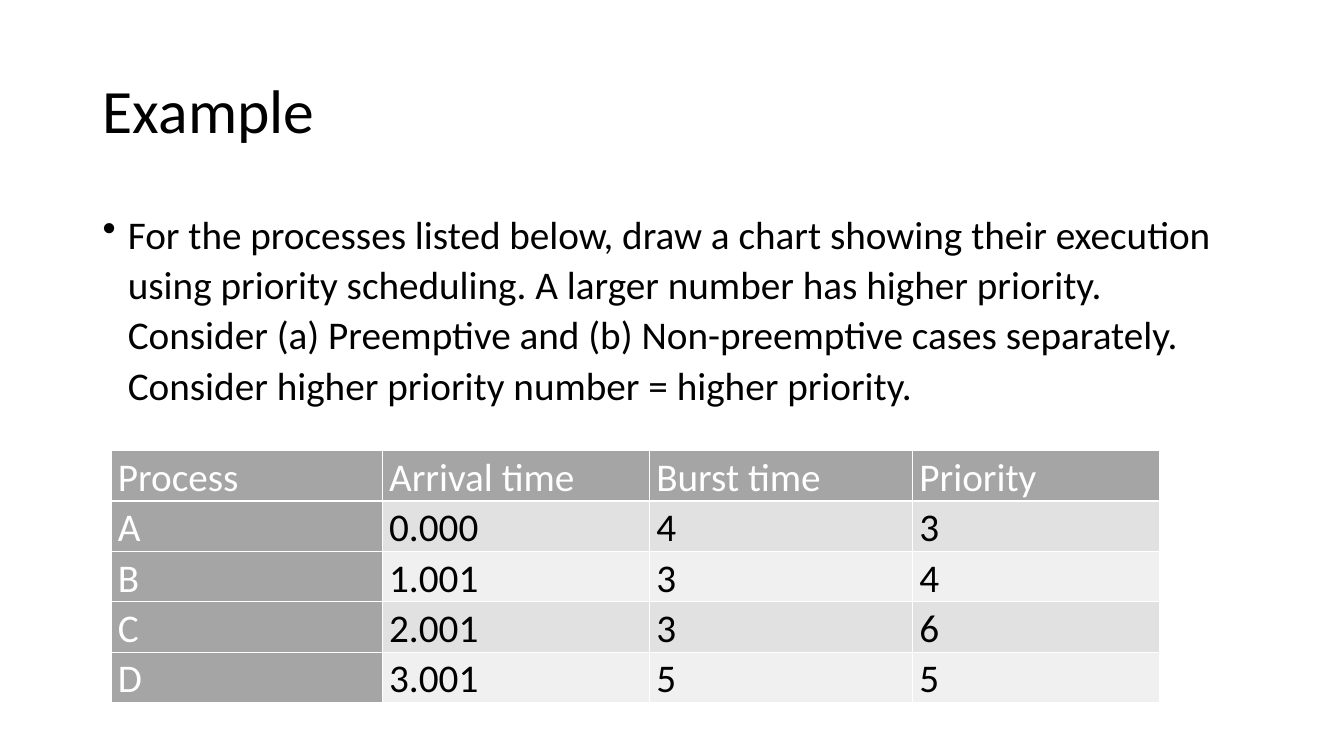
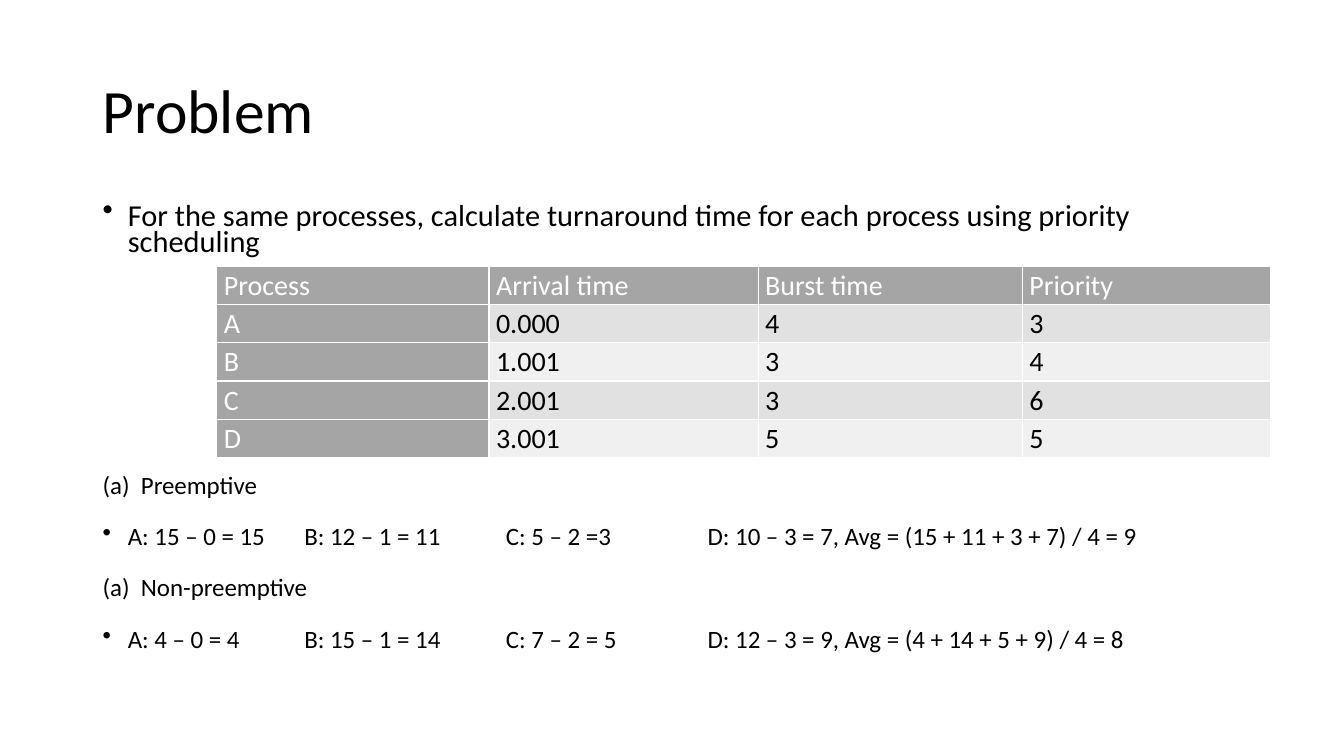
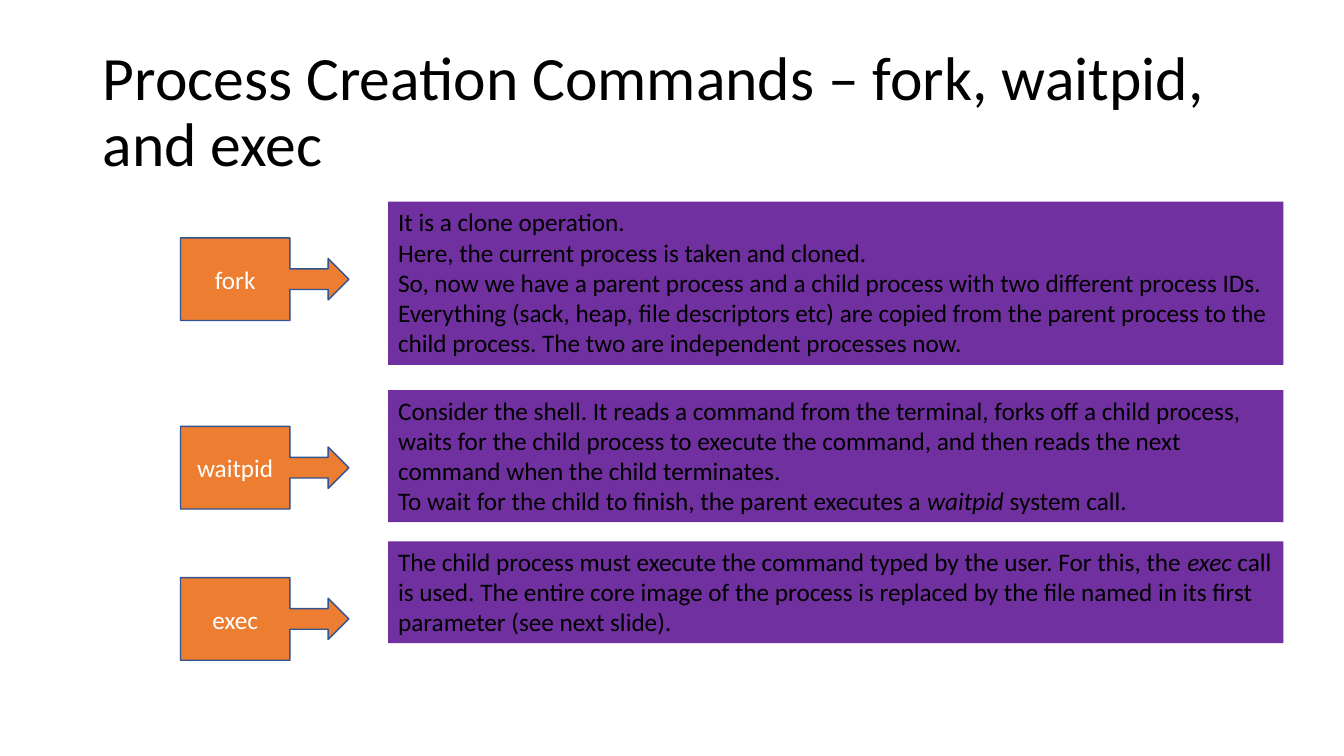
from dataclasses import dataclass

from lxml import etree
from pptx import Presentation
from pptx.dml.color import RGBColor
from pptx.enum import shapes, text
from pptx.oxml import ns
from pptx.util import Inches, Pt


@dataclass(frozen=True)
class Theme:
    font: str = "Calibri"
    ink: str = "000000"
    paper: str = "FFFFFF"
    header: str = "A5A5A5"
    bands: tuple = ("E1E1E1", "F0F0F0")
    callout: str = "ED7D31"
    callout_line: str = "325491"
    panel: str = "7030A0"
    title_size: float = 44
    body_size: float = 28
    lead_size: float = 21.7
    answer_size: float = 17.8
    small_table_size: float = 20
    label_size: float = 18


T = Theme()

TITLE_BOX = (0.92, 0.4, 11.5, 1.45)
BULLET = ("buChar", {"char": "•"})
LETTER = ("buAutoNum", {"type": "alphaLcParenBoth"})

PROCESSES = [
    ("Process", "Arrival time", "Burst time", "Priority"),
    ("A", "0.000", "4", "3"),
    ("B", "1.001", "3", "4"),
    ("C", "2.001", "3", "6"),
    ("D", "3.001", "5", "5"),
]

ANSWERS = [
    ("Preemptive",
     "A: 15 – 0 = 15\tB: 12 – 1 = 11\tC: 5 – 2 =3\tD: 10 – 3 = 7, Avg = (15 + 11 + 3 + 7) / 4 = 9"),
    ("Non-preemptive",
     "A: 4 – 0 = 4\tB: 15 – 1 = 14\tC: 7 – 2 = 5\tD: 12 – 3 = 9, Avg = (4 + 14 + 5 + 9) / 4 = 8"),
]

COMMANDS = [
    ("fork", 2, 1.62, [
        ["It is a clone operation."],
        ["Here, the current process is taken and cloned."],
        ["So, now we have a parent process and a child process with two different process IDs."],
        ["Everything (sack, heap, file descriptors etc) are copied from the parent process to the "
         "child process. The two are independent processes now."],
    ]),
    ("waitpid", 3.87, 1.31, [
        ["Consider the shell. It reads a command from the terminal, forks off a child process, "
         "waits for the child process to execute the command, and then reads the next command "
         "when the child terminates."],
        ["To wait for the child to finish, the parent executes a ", "waitpid", " system call."],
    ]),
    ("exec", 5.37, 1.01, [
        ["The child process must execute the command typed by the user. For this, the ", "exec",
         " call is used. The entire core image of the process is replaced by the file named in "
         "its first parameter (see next slide)."],
    ]),
]


def rgb(value):
    return RGBColor.from_string(value)


def inches(box):
    return [Inches(v) for v in box]


def style(p, size, color=T.ink, spacing=None, before=None, after=None):
    p.font.name = T.font
    p.font.size = Pt(size)
    p.font.color.rgb = rgb(color)
    p.line_spacing = spacing
    p.space_before = None if before is None else Pt(before)
    p.space_after = None if after is None else Pt(after)


def set_bullet(p, marker, indent, tabs=()):
    ppr = p._p.get_or_add_pPr()
    ppr.set("marL", str(Inches(indent)))
    ppr.set("indent", str(-Inches(indent)))
    ppr.set("defTabSz", str(Inches(1)))
    name, attrs = marker
    marks = [etree.Element(ns.qn("a:" + name), attrs)]
    if tabs:
        stops = etree.Element(ns.qn("a:tabLst"))
        for pos in tabs:
            etree.SubElement(stops, ns.qn("a:tab"), {"pos": str(Inches(pos)), "algn": "l"})
        marks.append(stops)
    defaults = ppr.find(ns.qn("a:defRPr"))
    for mark in marks:
        defaults.addprevious(mark)


def add_titled_slide(prs, title):
    s = prs.slides.add_slide(prs.slide_layouts[5])
    sp = s.shapes.title
    sp.left, sp.top, sp.width, sp.height = inches(TITLE_BOX)
    tf = sp.text_frame
    tf.text = title
    tf.word_wrap = True
    tf.auto_size = text.MSO_AUTO_SIZE.NONE
    tf.vertical_anchor = text.MSO_ANCHOR.MIDDLE
    p = tf.paragraphs[0]
    p.alignment = text.PP_ALIGN.LEFT
    style(p, T.title_size, spacing=0.9)
    return s


def add_list(s, box, items, size, spacing, after=None):
    tf = s.shapes.add_textbox(*inches(box)).text_frame
    tf.word_wrap = True
    for i, (words, marker, indent, tabs) in enumerate(items):
        p = tf.paragraphs[0] if i == 0 else tf.add_paragraph()
        p.add_run().text = words
        style(p, size, spacing=spacing, before=10, after=after)
        set_bullet(p, marker, indent, tabs)


def set_borders(cell):
    tcpr = cell._tc.get_or_add_tcPr()
    for i, side in enumerate(("lnL", "lnR", "lnT", "lnB")):
        ln = etree.Element(ns.qn("a:" + side), {"w": str(Pt(1))})
        fill = etree.SubElement(ln, ns.qn("a:solidFill"))
        etree.SubElement(fill, ns.qn("a:srgbClr"), {"val": T.paper})
        tcpr.insert(i, ln)


def add_process_table(s, left, top, widths, row_height, size):
    table = s.shapes.add_table(
        len(PROCESSES), len(widths),
        *inches((left, top, sum(widths), row_height * len(PROCESSES)))).table
    table.first_row = table.horz_banding = False
    for column, width in zip(table.columns, widths):
        column.width = Inches(width)
    for r, row in enumerate(PROCESSES):
        table.rows[r].height = Inches(row_height)
        for c, words in enumerate(row):
            heading = r == 0 or c == 0
            cell = table.cell(r, c)
            cell.text = words
            cell.margin_left = cell.margin_right = Inches(0.07)
            cell.margin_top = cell.margin_bottom = 0
            cell.fill.solid()
            cell.fill.fore_color.rgb = rgb(T.header if heading else T.bands[(r - 1) % 2])
            set_borders(cell)
            style(cell.text_frame.paragraphs[0], size, T.paper if heading else T.ink,
                  spacing=1.07, after=8)


def add_block(s, kind, box, fill, line=None):
    sp = s.shapes.add_shape(kind, *inches(box))
    sp.shadow.inherit = False
    sp.fill.solid()
    sp.fill.fore_color.rgb = rgb(fill)
    if line:
        sp.line.color.rgb = rgb(line)
        sp.line.width = Pt(1)
    else:
        sp.line.fill.background()
    sp.text_frame.word_wrap = True
    return sp


def add_command(s, left, top, height, name, paragraphs):
    callout = add_block(s, shapes.MSO_SHAPE.RIGHT_ARROW_CALLOUT,
                        (left, top + 0.36, 1.67, 0.82), T.callout, T.callout_line)
    p = callout.text_frame.paragraphs[0]
    p.text = name
    p.alignment = text.PP_ALIGN.CENTER
    style(p, T.label_size, T.paper)

    panel = add_block(s, shapes.MSO_SHAPE.RECTANGLE, (left + 2.06, top, 8.88, height), T.panel)
    tf = panel.text_frame
    tf.vertical_anchor = text.MSO_ANCHOR.TOP
    tf.auto_size = text.MSO_AUTO_SIZE.SHAPE_TO_FIT_TEXT
    for i, pieces in enumerate(paragraphs):
        p = tf.paragraphs[0] if i == 0 else tf.add_paragraph()
        p.alignment = text.PP_ALIGN.LEFT
        style(p, T.label_size)
        for piece in pieces:
            r = p.add_run()
            r.text = piece
            if piece == name:
                r.font.italic = True


def build_example(prs):
    s = add_titled_slide(prs, "Example")
    question = ("For the processes listed below, draw a chart showing their execution using "
                "priority scheduling. A larger number has higher priority. Consider (a) "
                "Preemptive and (b) Non-preemptive cases separately. Consider higher priority "
                "number = higher priority.")
    add_list(s, (0.92, 2, 11.5, 2.3), [(question, BULLET, 0.25, ())], T.body_size, 1.07, 8)
    add_process_table(s, 1.1, 4.47, (2.69, 2.65, 2.61, 2.45), 0.5, T.body_size)


def build_problem(prs):
    s = add_titled_slide(prs, "Problem")
    lead = ("For the same processes, calculate turnaround time for each process using "
            "priority scheduling")
    add_list(s, (0.92, 2, 11.5, 0.64), [(lead, BULLET, 0.25, ())], T.lead_size, 0.7)
    add_process_table(s, 2.15, 2.64, (2.7, 2.67, 2.62, 2.46), 0.38, T.small_table_size)
    items = []
    for case, times in ANSWERS:
        items += [(case, LETTER, 0.38, ()), (times, BULLET, 0.25, (2, 4, 6))]
    add_list(s, (0.92, 4.65, 11.5, 2.11), items, T.answer_size, 0.87, 8)


def build_commands(prs):
    s = add_titled_slide(prs, "Process Creation Commands – fork, waitpid, and exec")
    for name, top, height, paragraphs in COMMANDS:
        add_command(s, 1.79, top, height, name, paragraphs)


def main():
    prs = Presentation()
    prs.slide_width, prs.slide_height = Inches(13.33), Inches(7.5)
    for build in (build_example, build_problem, build_commands):
        build(prs)
    prs.save("out.pptx")


if __name__ == "__main__":
    main()
